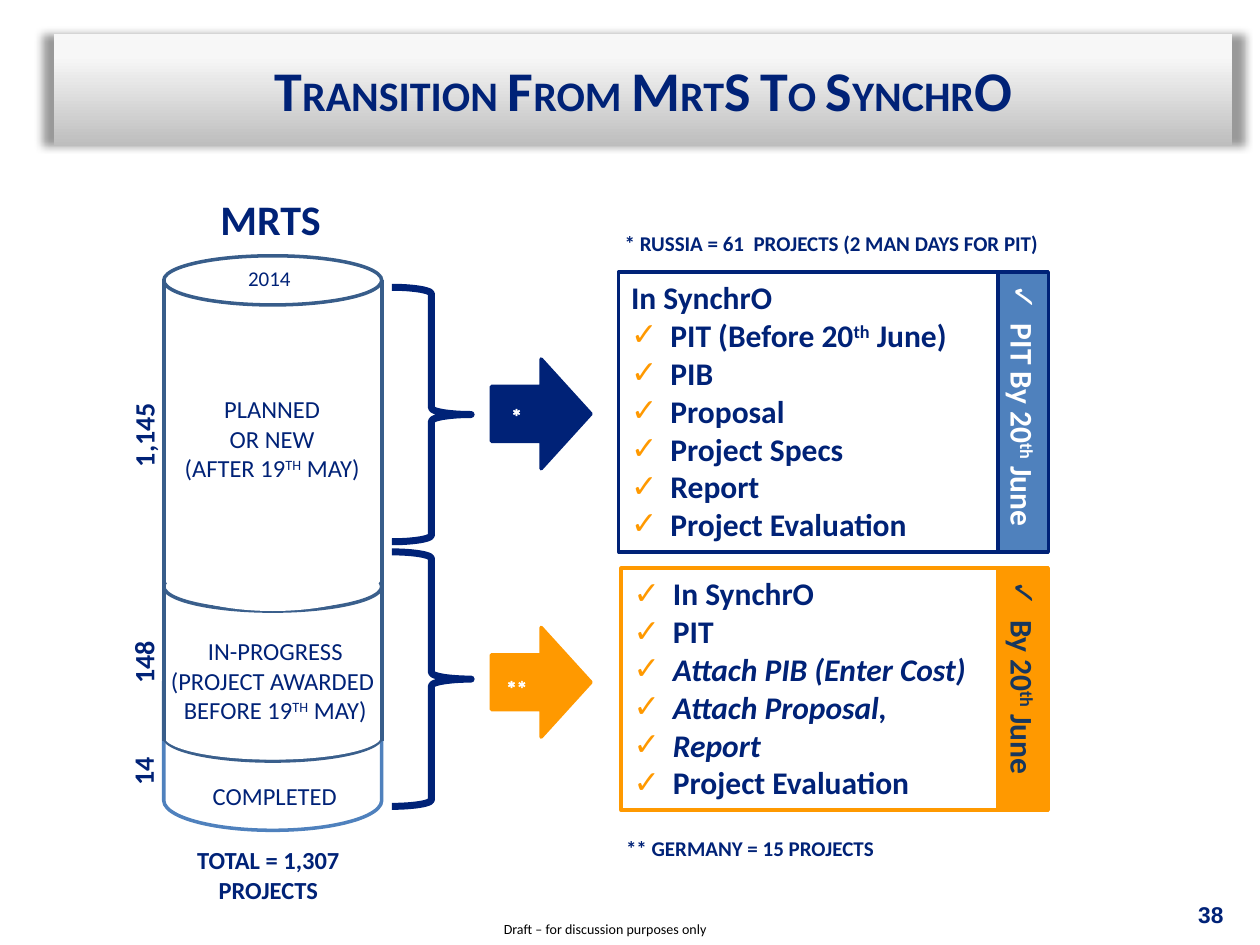
from dataclasses import dataclass
from typing import Optional, Sequence

from lxml.etree import SubElement
from pptx import Presentation
from pptx.dml.color import RGBColor
from pptx.enum.shapes import MSO_CONNECTOR, MSO_SHAPE
from pptx.enum.text import MSO_ANCHOR, MSO_AUTO_SIZE, PP_ALIGN
from pptx.oxml import parse_xml
from pptx.oxml.ns import nsdecls, qn
from pptx.util import Emu, Pt

PX = 9144
COLORS = {
    "navy": "002277", "ink": "00144B", "orange": "FF9900", "white": "FFFFFF",
    "black": "000000", "blue": "4F81BD", "steel": "385D8A", "rim": "3A5F8C",
    "slate": "17375E", "shade": "BEBEBE", "light": "F7F7F7", "pale": "F8F8F8",
}


@dataclass(frozen=True)
class Span:
    text: str
    size: float = 0
    raised: bool = False
    italic: bool = False


@dataclass(frozen=True)
class Line:
    spans: Sequence[Span]
    bullet: bool = False
    bullet_color: Optional[str] = None
    align: Optional[PP_ALIGN] = None


@dataclass(frozen=True)
class Style:
    size: float
    color: str = "navy"
    bold: bool = False
    outline: Optional[str] = None
    font: str = "Calibri"


@dataclass(frozen=True)
class Figure:
    kind: MSO_SHAPE
    at: tuple[int, int, int, int]
    fill: Optional[str] = "white"
    line: Optional[str] = None
    width: float = 2
    turn: int = 0


@dataclass(frozen=True)
class Label:
    at: tuple[int, int, int, int]
    lines: Sequence[Line]
    style: Style
    turn: int = 0
    inset: tuple[int, int] = (10, 5)


def rgb(name: str) -> RGBColor:
    return RGBColor.from_string(COLORS[name])


def emu(*lengths: int) -> list[Emu]:
    return [Emu(length * PX) for length in lengths]


def plain(text: str) -> list[Line]:
    return [Line([Span(text)])]


def centred(*rows: Sequence[Span]) -> list[Line]:
    return [Line(row, align=PP_ALIGN.CENTER) for row in rows]


def dated(before: str, after: str) -> list[Span]:
    mark = "TH" if after.isupper() else "th"
    return [Span(before), Span(mark, raised=True), Span(after)]


def ticked(spans: Sequence[Span], color: Optional[str] = "orange") -> Line:
    return Line(spans, bullet=True, bullet_color=color)


def write(frame, lines: Sequence[Line], style: Style) -> None:
    for index, line in enumerate(lines):
        para = frame.paragraphs[0] if index == 0 else frame.add_paragraph()
        para.alignment = line.align or PP_ALIGN.LEFT
        if line.bullet:
            props = para._p.get_or_add_pPr()
            props.set("marL", "285750")
            props.set("indent", "-285750")
            if line.bullet_color:
                color = SubElement(props, qn("a:buClr"))
                SubElement(color, qn("a:srgbClr"), val=COLORS[line.bullet_color])
            SubElement(props, qn("a:buFont"), typeface="Arial")
            SubElement(props, qn("a:buChar"), char="✓")
        for item in line.spans:
            span = para.add_run()
            span.text = item.text
            font = span.font
            font.name, font.size = style.font, Pt(item.size or style.size)
            font.bold, font.italic = style.bold, item.italic
            font.color.rgb = rgb(style.color)
            props = span._r.get_or_add_rPr()
            if item.raised:
                props.set("baseline", "30000")
            if style.outline:
                props.insert(0, parse_xml(
                    f'<a:ln {nsdecls("a")} w="9017"><a:solidFill>'
                    f'<a:srgbClr val="{COLORS[style.outline]}"/></a:solidFill></a:ln>'))


def draw(page, figure: Figure, lines: Sequence[Line] = (), style: Style = Style(18)):
    shape = page.shapes.add_shape(figure.kind, *emu(*figure.at))
    shape.shadow.inherit = False
    shape.rotation = figure.turn
    if figure.fill:
        shape.fill.solid()
        shape.fill.fore_color.rgb = rgb(figure.fill)
    else:
        shape.fill.background()
    if figure.line:
        shape.line.color.rgb = rgb(figure.line)
        shape.line.width = Pt(figure.width)
    else:
        shape.line.fill.background()
    if lines:
        shape.text_frame.word_wrap = True
        shape.text_frame.vertical_anchor = MSO_ANCHOR.TOP
        write(shape.text_frame, lines, style)
    return shape


def put_label(page, label: Label) -> None:
    box = page.shapes.add_textbox(*emu(*label.at))
    box.rotation = label.turn
    frame = box.text_frame
    frame.word_wrap = False
    frame.auto_size = MSO_AUTO_SIZE.SHAPE_TO_FIT_TEXT
    side, edge = emu(*label.inset)
    frame.margin_left = frame.margin_right = side
    frame.margin_top = frame.margin_bottom = edge
    write(frame, label.lines, label.style)


def draw_edge(page, x: int, top: int, bottom: int) -> None:
    edge = page.shapes.add_connector(MSO_CONNECTOR.STRAIGHT, *emu(x, top, x, bottom))
    edge.line.color.rgb = rgb("steel")
    edge.line.width = Pt(2.25)
    SubElement(edge._element.spPr, qn("a:effectLst"))


def draw_banner(page) -> None:
    words = [("T", "RANSITION "), ("F", "ROM "), ("M", "RT"), ("S", " "),
             ("T", "O "), ("S", "YNCHR")]
    spans = [Span(text, size) for pair in words for text, size in zip(pair, (32, 24))]
    banner = draw(page, Figure(MSO_SHAPE.RECTANGLE, (43, 27, 935, 88)),
                  centred([*spans, Span("O", 32)]),
                  Style(32, bold=True, outline="ink"))
    banner.text_frame.vertical_anchor = MSO_ANCHOR.MIDDLE
    props = banner._element.spPr
    stops = "".join(f'<a:gs pos="{place}000"><a:srgbClr val="{COLORS[name]}"/></a:gs>'
                    for place, name in ((0, "shade"), (80, "light"), (100, "pale")))
    props.replace(props.find(qn("a:solidFill")), parse_xml(
        f'<a:gradFill {nsdecls("a")}><a:gsLst>{stops}</a:gsLst>'
        '<a:lin ang="16200000" scaled="0"/></a:gradFill>'))
    shadow = SubElement(props.find(qn("a:effectLst")), qn("a:outerShdw"),
                        blurRad="63500", sx="102000", algn="ctr", rotWithShape="0")
    color = SubElement(shadow, qn("a:srgbClr"), val=COLORS["black"])
    SubElement(color, qn("a:alpha"), val="40000")


def draw_cylinder(page) -> None:
    disk, oval = MSO_SHAPE.FLOWCHART_MAGNETIC_DISK, MSO_SHAPE.OVAL
    for kind, top, height, line in (
            (disk, 517, 142, "blue"), (disk, 422, 142, None), (disk, 203, 142, None),
            (disk, 281, 236, None), (oval, 203, 39, "steel"), (oval, 446, 39, "rim"),
            (disk, 312, 173, None), (oval, 565, 39, "rim"), (disk, 490, 113, None)):
        draw(page, Figure(kind, (130, top, 173, height), line=line))


def draw_panels(page) -> None:
    tasks = ["PIB", "Proposal", "Project Specs", "Report", "Project Evaluation"]
    steps = [("In SynchrO", False), ("PIT", False), ("Attach PIB (Enter Cost)", True),
             ("Attach Proposal,", True), ("Report", True), ("Project Evaluation", False)]
    first = [*plain("In SynchrO"), ticked(dated("PIT (Before 20", " June)")),
             *(ticked([Span(task)]) for task in tasks)]
    second = [ticked([Span(text, italic=slanted)]) for text, slanted in steps]
    box, bold = MSO_SHAPE.RECTANGLE, Style(18, bold=True)
    draw(page, Figure(box, (491, 216, 301, 222), line="navy"), first, bold)
    draw(page, Figure(box, (493, 451, 299, 192), line="orange"), second, bold)
    draw(page, Figure(box, (716, 527, 192, 40), "orange", "orange", turn=90),
         [ticked(dated("By 20", " June"), None)], Style(18, "slate", True))
    draw(page, Figure(box, (701, 307, 222, 40), "blue", "navy", turn=90),
         [ticked(dated("PIT By 20", " June"), None)], Style(18, "white", True))


def main() -> None:
    deck = Presentation()
    deck.slide_width, deck.slide_height = emu(1000, 750)
    page = deck.slides.add_slide(deck.slide_layouts[6])
    draw_banner(page)
    draw_cylinder(page)
    for top, color in ((285, "navy"), (498, "orange")):
        draw(page, Figure(MSO_SHAPE.RIGHT_ARROW, (390, top, 79, 87), color, color))
    for top in (228, 438):
        draw(page, Figure(MSO_SHAPE.RIGHT_BRACE, (311, top, 63, 202), None, "navy", 4))
    draw_panels(page)

    body = Style(14, outline="ink")
    total = Style(14, bold=True, outline="ink")
    count = Style(16, bold=True, outline="ink")
    note = Style(12, bold=True, outline="ink")
    star = Style(12, "white", True, "white")
    number = Style(13, bold=True, font="Arial")
    for label in (
            Label((390, 726, 200, 24), plain("Draft – for discussion purposes only"),
                  Style(8, "black")),
            Label((135, 308, 162, 81), centred([Span("PLANNED")], [Span("OR NEW")],
                  dated("(AFTER 19", " MAY)")), body),
            Label((125, 500, 187, 81), centred([Span("IN-PROGRESS")],
                  [Span("(PROJECT AWARDED ")], dated("BEFORE 19", " MAY)")), body),
            Label((159, 615, 120, 34), plain("COMPLETED"), body),
            Label((187, 206, 55, 30), plain("2014"), Style(12, outline="ink")),
            Label((165, 149, 101, 50), plain("MRTS"), Style(24, bold=True, outline="ink")),
            Label((78, 326, 72, 37), plain("1,145"), count, 270),
            Label((87, 507, 54, 37), plain("148"), count, 270),
            Label((92, 593, 43, 37), plain("14"), count, 270),
            Label((146, 666, 134, 57),
                  centred([Span("TOTAL = 1,307")], [Span("PROJECTS")]), total),
            Label((392, 531, 37, 30), plain("**"), star),
            Label((396, 315, 29, 30), plain("*"), star),
            Label((487, 658, 219, 30), plain("** GERMANY = 15 PROJECTS"), note),
            Label((486, 178, 353, 30),
                  plain("* RUSSIA = 61  PROJECTS (2 MAN DAYS FOR PIT)"), note),
            Label((944, 711, 37, 29), plain("38"), number, inset=(7, 4))):
        put_label(page, label)
    for x in (303, 130):
        draw_edge(page, x, 222, 588)
    deck.save("out.pptx")


if __name__ == "__main__":
    main()
